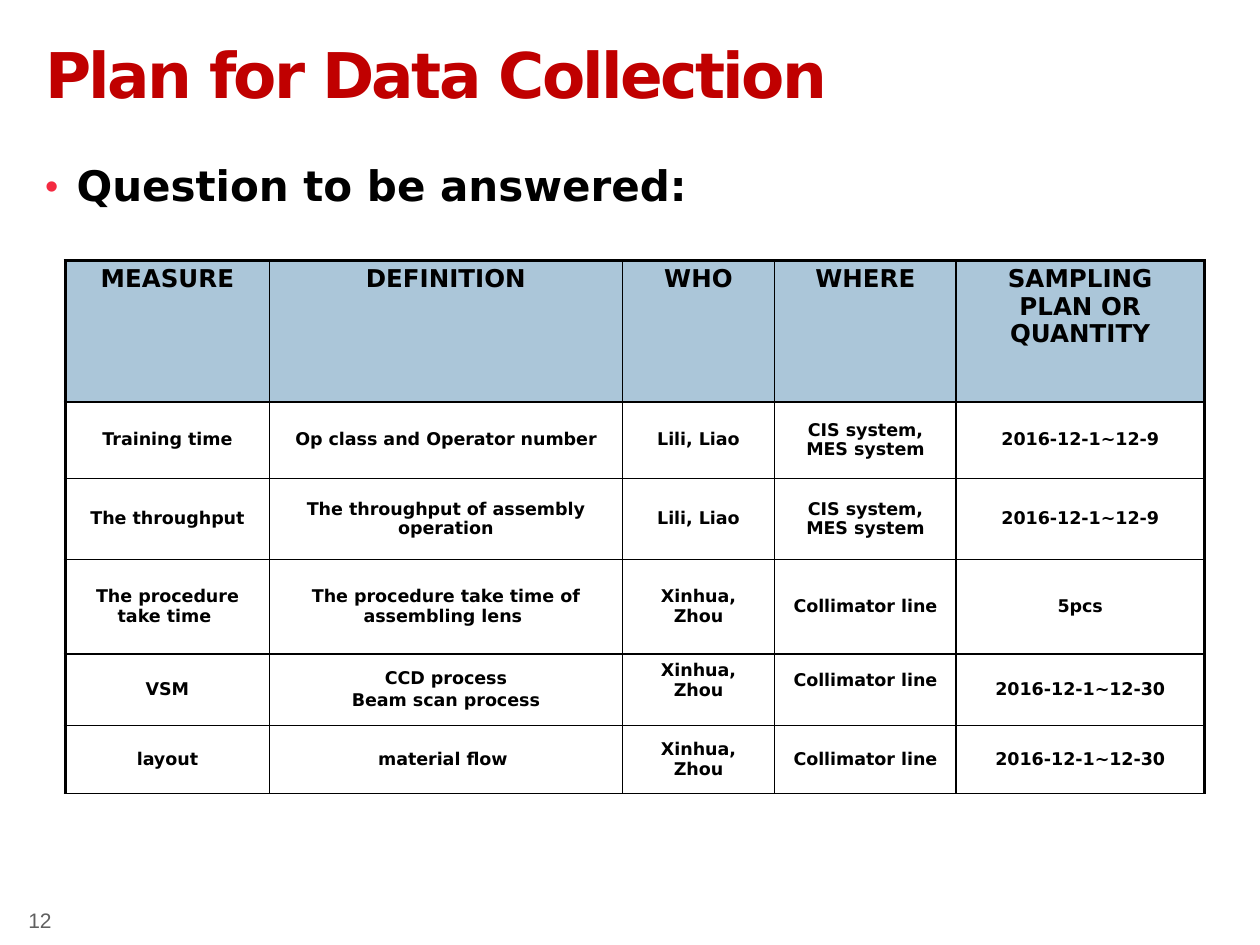
from dataclasses import dataclass

import pptx
import pptx.dml.color
import pptx.enum.text
import pptx.oxml
import pptx.oxml.ns
import pptx.util

Pt = pptx.util.Pt
RGB = pptx.dml.color.RGBColor.from_string
Align = pptx.enum.text.PP_ALIGN
Anchor = pptx.enum.text.MSO_ANCHOR
NS = pptx.oxml.ns.nsdecls("a")


@dataclass(frozen=True)
class Theme:
    font: str = "DejaVu Sans"
    number_font: str = "Arial"
    title: str = "C00000"
    ink: str = "000000"
    bullet: str = "F42A41"
    number: str = "606060"
    header_fill: str = "6497BA"
    header_alpha: int = 54
    title_size: float = 36
    question_size: float = 24
    header_size: float = 14
    cell_size: float = 10
    number_size: float = 12
    outer_line: float = 2.25
    inner_line: float = 1


THEME = Theme()
COLUMN_WIDTHS = (116.6, 201.6, 87.1, 103.7, 141.8)
ROW_HEIGHTS = (80.6, 43.9, 46.4, 53.8, 41, 38.9)
ROWS = (
    ("MEASURE", "DEFINITION", "WHO", "WHERE", "SAMPLING PLAN OR QUANTITY"),
    ("Training time", "Op class and Operator number", "Lili, Liao",
     "CIS system, MES system", "2016-12-1~12-9"),
    ("The throughput", "The throughput of assembly operation", "Lili, Liao",
     "CIS system, MES system", "2016-12-1~12-9"),
    ("The procedure take time ", "The procedure take time of assembling lens ",
     "Xinhua, Zhou", "Collimator line", "5pcs"),
    ("VSM", "CCD process\nBeam scan process", "Xinhua, Zhou",
     "Collimator line", "2016-12-1~12-30"),
    ("layout", "material flow ", "Xinhua, Zhou", "Collimator line",
     "2016-12-1~12-30"),
)
# Cells (row, column) whose text sits a little above the middle
RAISED_CELLS = {(4, 2), (4, 3)}


def style(paragraph, size, color, font=THEME.font, bold=True):
    paragraph.font.size = Pt(size)
    paragraph.font.name = font
    paragraph.font.bold = bold
    paragraph.font.color.rgb = RGB(color)


def add_text(slide, text, left, top, width, height):
    """Add a wrapping text box and return its frame and first paragraph."""
    frame = slide.shapes.add_textbox(Pt(left), Pt(top), Pt(width), Pt(height)).text_frame
    frame.word_wrap = True
    frame.text = text
    return frame, frame.paragraphs[0]


def add_title(slide):
    _, title = add_text(slide, "Plan for Data Collection", 18.7, 19, 683.3, 59.8)
    title.line_spacing = Pt(41)
    style(title, THEME.title_size, THEME.title)
    title.runs[0].font._element.set("spc", "-150")


def add_question(slide):
    _, question = add_text(slide, "Question to be answered:", 18.7, 90, 693.4, 48.2)
    question.line_spacing = 0.95
    properties = question._p.get_or_add_pPr()
    properties.set("marL", str(Pt(18)))
    properties.set("indent", str(-Pt(18)))
    for xml in (f'<a:buClr {NS}><a:srgbClr val="{THEME.bullet}"/></a:buClr>',
                f'<a:buSzPct {NS} val="90000"/>',
                f'<a:buFont {NS} typeface="Arial"/>',
                f'<a:buChar {NS} char="•"/>'):
        properties.append(pptx.oxml.parse_xml(xml))
    style(question, THEME.question_size, THEME.ink)


def set_borders(cell, widths):
    """Draw the sides in the order left, right, top, bottom."""
    properties = cell._tc.get_or_add_tcPr()
    for index, (side, width) in enumerate(zip("LRTB", widths)):
        properties.insert(index, pptx.oxml.parse_xml(
            f'<a:ln{side} {NS} w="{Pt(width)}"><a:solidFill>'
            f'<a:srgbClr val="{THEME.ink}"/></a:solidFill></a:ln{side}>'))


def fill_header(cell):
    cell.fill.solid()
    cell.fill.fore_color.rgb = RGB(THEME.header_fill)
    color = cell._tc.tcPr.find(".//" + pptx.oxml.ns.qn("a:srgbClr"))
    color.append(pptx.oxml.parse_xml(
        f'<a:alpha {NS} val="{THEME.header_alpha * 1000}"/>'))


def fill_cell(cell, text, is_header, is_raised):
    cell.text = text
    cell.margin_left = cell.margin_right = Pt(6.5)
    cell.margin_top = Pt(3)
    cell.margin_bottom = Pt(13.2 if is_raised else 3)
    cell.vertical_anchor = Anchor.TOP if is_header else Anchor.MIDDLE
    if is_header:
        fill_header(cell)
    else:
        cell.fill.background()
    for index, paragraph in enumerate(cell.text_frame.paragraphs):
        paragraph.alignment = Align.CENTER
        paragraph.line_spacing = 0.95
        if index:
            paragraph.space_before = Pt(2)
        style(paragraph, THEME.header_size if is_header else THEME.cell_size, THEME.ink)


def add_plan_table(slide):
    plan = slide.shapes.add_table(
        len(ROWS), len(COLUMN_WIDTHS), Pt(37.4), Pt(149),
        Pt(sum(COLUMN_WIDTHS)), Pt(sum(ROW_HEIGHTS))).table
    for column, width in zip(plan.columns, COLUMN_WIDTHS):
        column.width = Pt(width)
    for row, height in zip(plan.rows, ROW_HEIGHTS):
        row.height = Pt(height)
    last = len(COLUMN_WIDTHS) - 1
    for r, texts in enumerate(ROWS):
        for c, text in enumerate(texts):
            cell = plan.cell(r, c)
            fill_cell(cell, text, r == 0, (r, c) in RAISED_CELLS)
            on_edge = (c == 0, c == last, r == 0, False)
            set_borders(cell, [THEME.outer_line if outer else THEME.inner_line
                               for outer in on_edge])


def add_slide_number(slide):
    frame, number = add_text(slide, "12", 0, 511.2, 36, 28.8)
    frame.vertical_anchor = Anchor.MIDDLE
    frame.margin_left = frame.margin_right = Pt(6.5)
    frame.margin_top = frame.margin_bottom = Pt(3)
    number.alignment = Align.RIGHT
    style(number, THEME.number_size, THEME.number, THEME.number_font, bold=False)


def main():
    deck = pptx.Presentation()
    deck.slide_width, deck.slide_height = Pt(720), Pt(540)
    slide = deck.slides.add_slide(deck.slide_layouts[6])
    add_plan_table(slide)
    add_question(slide)
    add_title(slide)
    add_slide_number(slide)
    deck.save("out.pptx")


if __name__ == "__main__":
    main()
